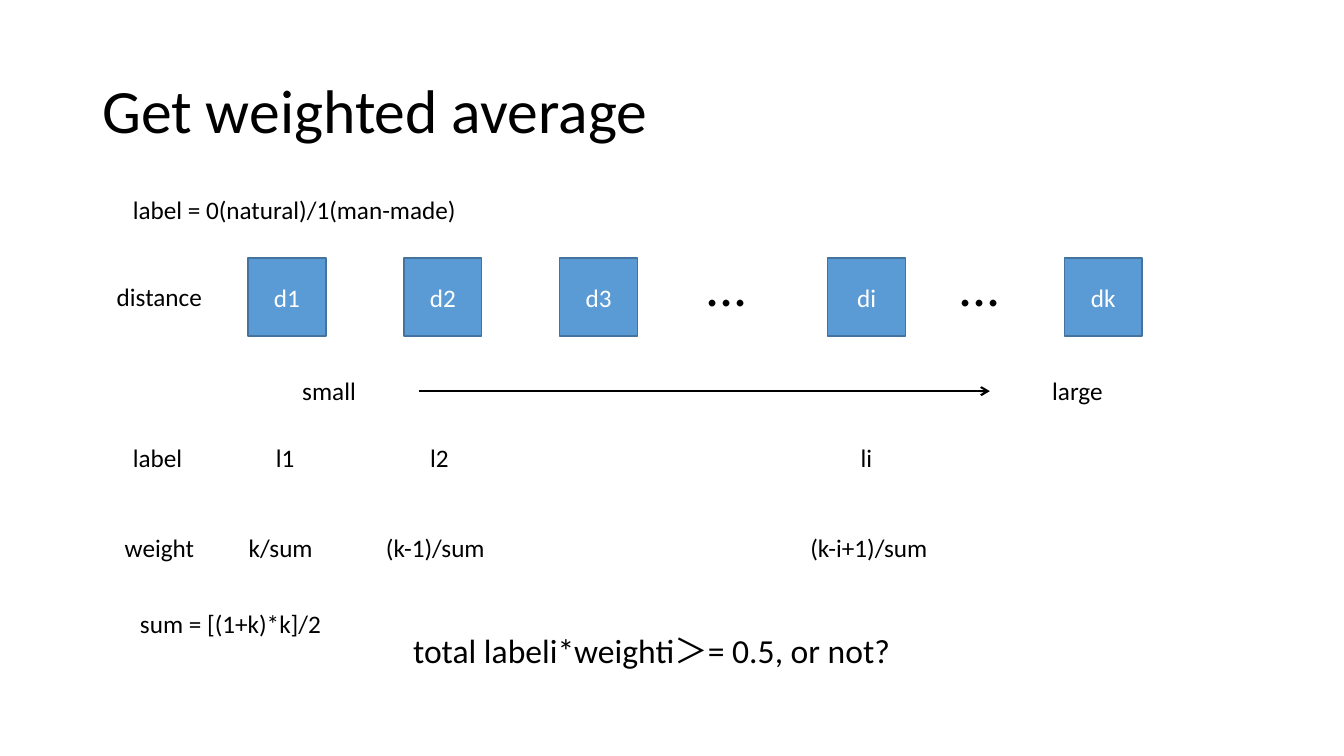
from pptx import Presentation, util as u
from pptx.dml.color import RGBColor
from pptx.enum import shapes, text
from pptx.oxml.ns import qn
from lxml import etree

Pt = u.Pt


def tint(code):
    return RGBColor.from_string(code)


class Board:
    font, ink, blue, edge, white = "Calibri", "000000", "5B9BD5", "43739E", "FFFFFF"

    def __init__(self, deck):
        self.slide = deck.slides.add_slide(deck.slide_layouts[6])
        self.items = self.slide.shapes

    def letter(self, shape, words, size, color, para=None, **frame):
        body = shape.text_frame
        for key, val in {"word_wrap": True, **frame}.items():
            setattr(body, key, val)
        line = body.paragraphs[0]
        for key, val in (para or {}).items():
            setattr(line, key, val)
        run = line.add_run()
        run.text = words
        for key, val in {"name": self.font, "size": Pt(size)}.items():
            setattr(run.font, key, val)
        run.font.color.rgb = tint(color)

    def label(self, words, left, top, width, height=29, size=18, para=None, **frame):
        box = self.items.add_textbox(Pt(left), Pt(top), Pt(width), Pt(height))
        self.letter(box, words, size, self.ink, para, **frame)

    def square(self, words, left, top, side):
        box = self.items.add_shape(shapes.MSO_SHAPE.RECTANGLE,
                                   Pt(left), Pt(top), Pt(side), Pt(side))
        box.shadow.inherit = False
        box.fill.solid()
        box.fill.fore_color.rgb = tint(self.blue)
        box.line.color.rgb = tint(self.edge)
        box.line.width = Pt(1)
        self.letter(box, words, 18, self.white, {"alignment": text.PP_ALIGN.CENTER},
                    vertical_anchor=text.MSO_ANCHOR.MIDDLE)

    def arrow(self, start, end, level):
        line = self.items.add_connector(shapes.MSO_CONNECTOR.STRAIGHT,
                                        Pt(start), Pt(level), Pt(end), Pt(level))
        line.line.color.rgb = tint(self.ink)
        line.line.width = Pt(1.5)
        props = line._element.spPr
        etree.SubElement(props.find(qn("a:ln")), qn("a:tailEnd"), type="arrow")
        etree.SubElement(props, qn("a:effectLst"))


def main():
    deck = Presentation()
    deck.slide_width, deck.slide_height = Pt(960), Pt(540)
    board = Board(deck)

    # Title and label key
    board.label("Get weighted average", 66, 28.8, 828, 104.4, 44,
                {"line_spacing": 0.9}, vertical_anchor=text.MSO_ANCHOR.MIDDLE)
    board.label("label = 0(natural)/1(man-made)", 87.8, 135.4, 266)

    # Distance row: three evenly spaced squares, then di and dk
    first, step = 177.2, 111.3
    lefts = [first + step * n for n in range(3)] + [591.2, 760.2]
    for words, left in zip(["d1", "d2", "d3", "di", "dk"], lefts):
        board.square(words, left, 184.4, 55.6)
    for left in (496.8, 677.5):
        board.label("...", left, 175.7, 83, 55.7, 40)

    # Direction of growth
    board.arrow(299.5, 707, 279.4)

    # Rows of text: top, then wording, left and width of each entry
    rows = {
        197.3: [("distance", 76.3, 81)],
        264.2: [("small", 208.8, 65), ("large", 744.5, 60)],
        312.5: [("label", 87.8, 58.5), ("l1", 190, 29), ("l2", 300.2, 31),
                ("li", 607.7, 39)],
        376.6: [("weight", 82, 70), ("k/sum", 170.6, 68.5),
                ("(k-1)/sum", 268.6, 94.5), ("(k-i+1)/sum", 571.7, 111.5)],
        431.3: [("sum = [(1+k)*k]/2", 92.9, 146)],
    }
    for top, row in rows.items():
        for words, left, width in row:
            board.label(words, left, top, width)

    # Decision rule
    board.label("total labeli*weighti＞= 0.5, or not?", 288, 446.4, 487.4, 36, 24)

    deck.save("out.pptx")


if __name__ == "__main__":
    main()
